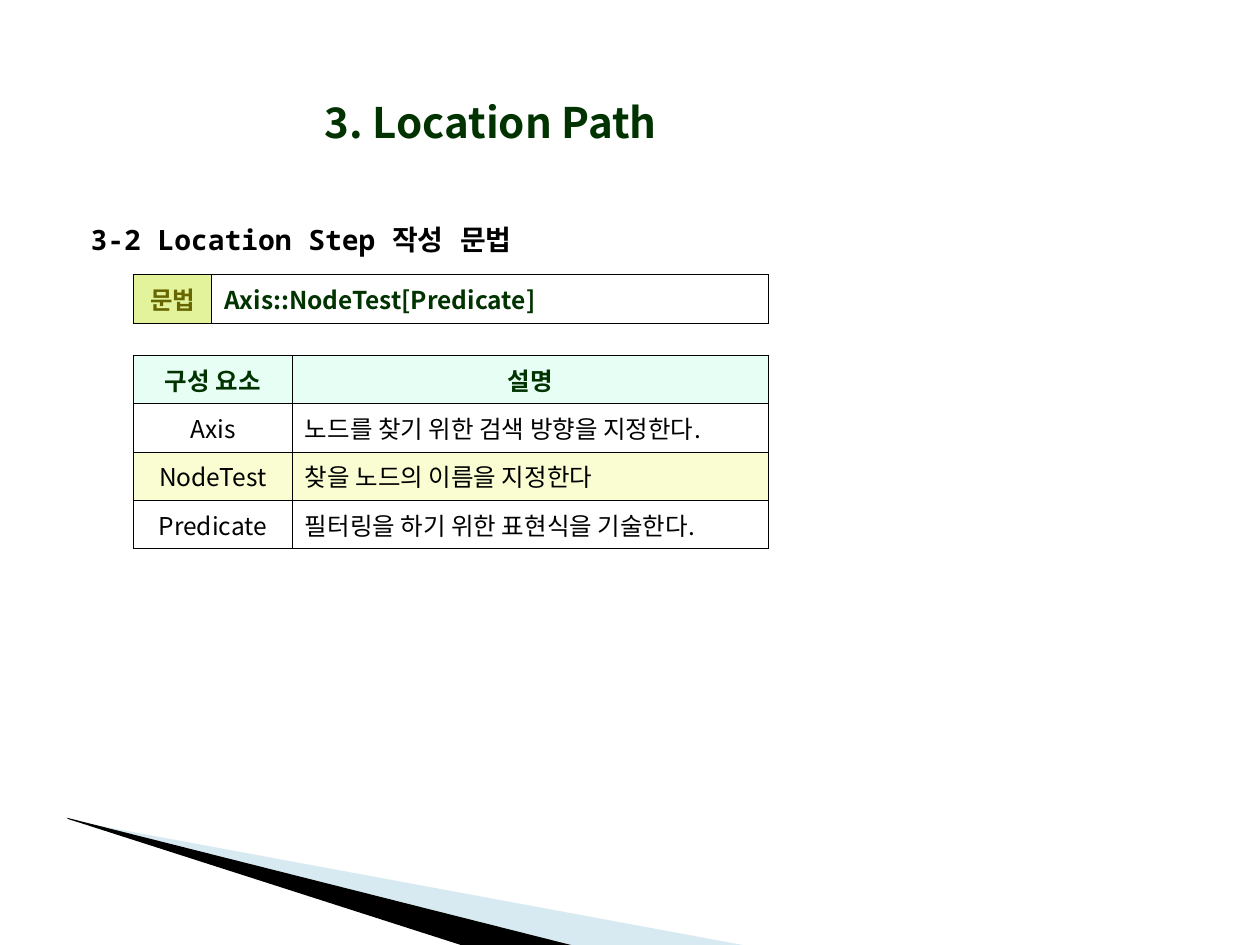
from lxml import etree
from pptx import Presentation
from pptx.dml.color import RGBColor
from pptx.enum.text import MSO_ANCHOR, MSO_AUTO_SIZE, PP_ALIGN
from pptx.oxml.ns import qn
from pptx.util import Inches, Pt

SANS = "Noto Sans CJK KR"
MONO = "Noto Sans Mono"
BLACK = "000000"
GREEN = "003300"
OLIVE = "686600"
LIME = "E2F39B"
MINT = "E6FEF4"
CREAM = "F9FDD1"


def rgb(hex_color):
    return RGBColor.from_string(hex_color)


def add_run(p, text, size, color, bold=False, font=SANS):
    r = p.add_run()
    r.text = text
    r.font.size = Pt(size)
    r.font.bold = bold
    r.font.name = font
    r.font.color.rgb = rgb(color)
    ea = etree.SubElement(r._r.get_or_add_rPr(), qn("a:ea"))
    ea.set("typeface", font)


def set_indent(p, left, first):
    pPr = p._p.get_or_add_pPr()
    pPr.set("marL", str(Inches(left)))
    pPr.set("indent", str(Inches(first)))


def place(sp, left, top, width, height):
    sp.left, sp.top = Inches(left), Inches(top)
    sp.width, sp.height = Inches(width), Inches(height)
    tf = sp.text_frame
    tf.word_wrap = True
    tf.auto_size = MSO_AUTO_SIZE.NONE
    return tf


def add_title(s, text):
    tf = place(s.shapes.title, 1.88, 0.34, 4.03, 1.25)
    tf.vertical_anchor = MSO_ANCHOR.MIDDLE
    p = tf.paragraphs[0]
    p.alignment = PP_ALIGN.CENTER
    add_run(p, text, 24, GREEN, bold=True)


def add_heading(s, text):
    tf = place(s.placeholders[1], 0.5, 1.75, 9, 0.35)
    tf.vertical_anchor = MSO_ANCHOR.TOP
    p = tf.paragraphs[0]
    set_indent(p, 0.4, -0.28)
    etree.SubElement(p._p.get_or_add_pPr(), qn("a:buNone"))
    p.alignment = PP_ALIGN.JUSTIFY
    p.line_spacing = 0.9
    p.space_before = Pt(0)
    add_run(p, text, 16, BLACK, bold=True, font=MONO)


def add_wedge(s, points, color, opacity=None):
    corners = [(Inches(x), Inches(y)) for x, y in points]
    builder = s.shapes.build_freeform(*corners[0])
    builder.add_line_segments(corners[1:], close=True)
    sp = builder.convert_to_shape()
    sp.shadow.inherit = False
    sp.line.fill.background()
    sp.fill.solid()
    sp.fill.fore_color.rgb = rgb(color)
    if opacity is not None:
        clr = sp._element.spPr.find(qn("a:solidFill"))[0]
        etree.SubElement(clr, qn("a:alpha")).set("val", str(opacity * 1000))


def set_borders(cell, width=0.45):
    tcPr = cell._tc.get_or_add_tcPr()
    for side in ("lnL", "lnR", "lnT", "lnB"):
        ln = etree.SubElement(tcPr, qn(f"a:{side}"), w=str(Pt(width)))
        fill = etree.SubElement(ln, qn("a:solidFill"))
        etree.SubElement(fill, qn("a:srgbClr"), val=BLACK)


def fill_cell(cell, text, color, bold, fill, align):
    set_borders(cell)
    if fill:
        cell.fill.solid()
        cell.fill.fore_color.rgb = rgb(fill)
    else:
        cell.fill.background()
    cell.margin_left = cell.margin_right = Inches(0.1)
    cell.margin_top = cell.margin_bottom = Inches(0.05)
    p = cell.text_frame.paragraphs[0]
    set_indent(p, 0.38, -0.38)
    p.alignment = align
    add_run(p, text, 14, color, bold)


def add_grid(s, top, widths, rows):
    """Each cell in rows is (text, color, bold, fill, align)."""
    row_h = Inches(0.34)
    table = s.shapes.add_table(len(rows), len(widths), Inches(1.06), Inches(top),
                               Inches(sum(widths)), row_h * len(rows)).table
    for col, width in zip(table.columns, widths):
        col.width = Inches(width)
    for i, row in enumerate(rows):
        table.rows[i].height = row_h
        for j, content in enumerate(row):
            fill_cell(table.cell(i, j), *content)


def main():
    prs = Presentation()
    prs.slide_width, prs.slide_height = Inches(10), Inches(7.5)
    s = prs.slides.add_slide(prs.slide_layouts[1])

    add_wedge(s, [(0.55, 6.51), (5.95, 7.51), (4.56, 7.51), (0.55, 6.5)], "9FCBDC", 40)
    add_wedge(s, [(0.53, 6.49), (4.57, 7.51), (3.72, 7.52), (0.54, 6.5)], BLACK)

    add_title(s, "3. Location Path")
    add_heading(s, "3-2 Location Step 작성 문법")

    center, left = PP_ALIGN.CENTER, PP_ALIGN.LEFT
    add_grid(s, 2.18, [0.62, 4.42], [
        [("문법", OLIVE, True, LIME, center),
         ("Axis::NodeTest[Predicate]", GREEN, True, None, left)],
    ])

    parts = [
        ("Axis", "노드를 찾기 위한 검색 방향을 지정한다.", None),
        ("NodeTest", "찾을 노드의 이름을 지정한다", CREAM),
        ("Predicate", "필터링을 하기 위한 표현식을 기술한다.", None),
    ]
    header = [(text, GREEN, True, MINT, center) for text in ("구성 요소", "설명")]
    body = [[(name, BLACK, False, fill, center), (note, BLACK, False, fill, left)]
            for name, note, fill in parts]
    add_grid(s, 2.82, [1.26, 3.78], [header] + body)

    prs.save("out.pptx")


if __name__ == "__main__":
    main()
